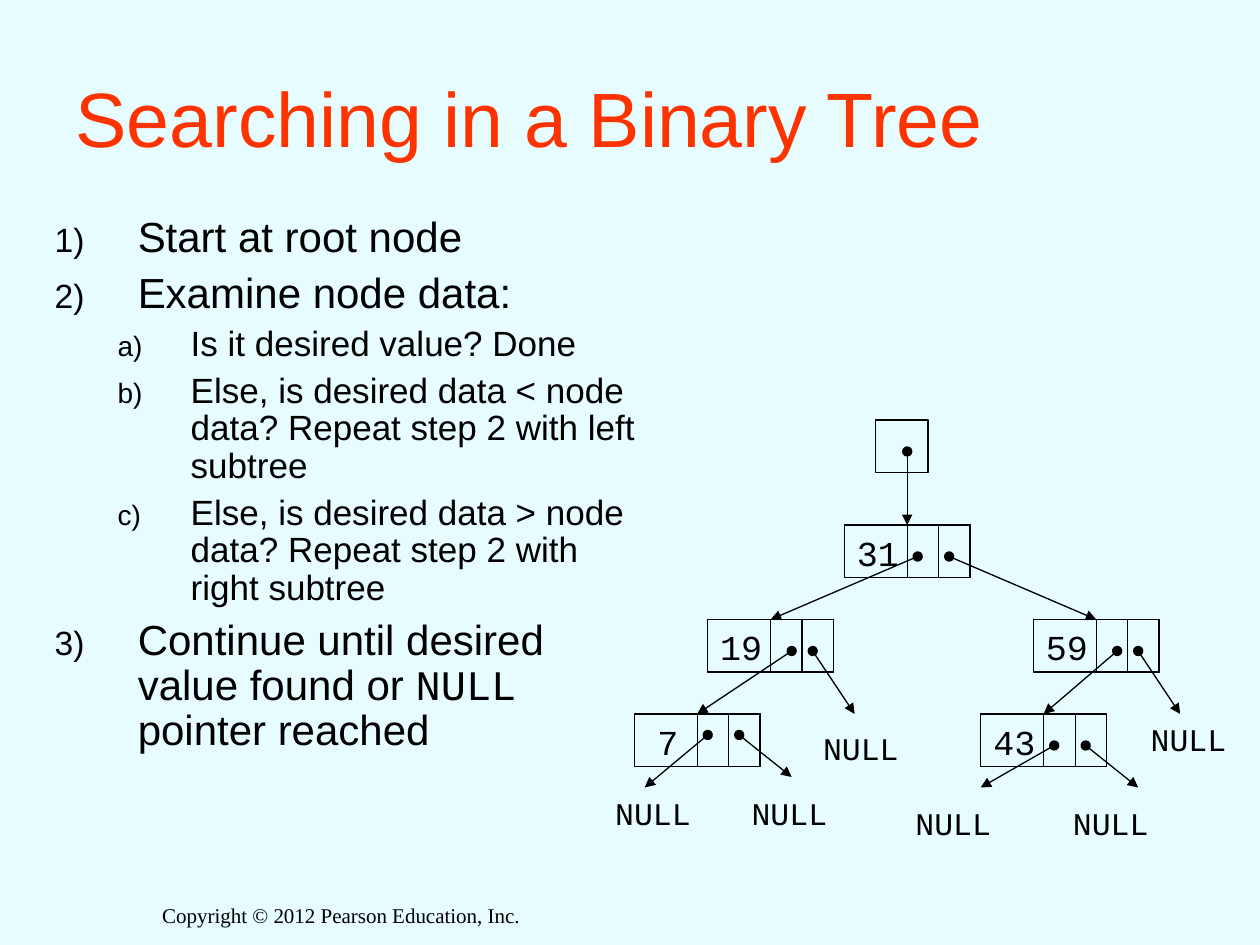
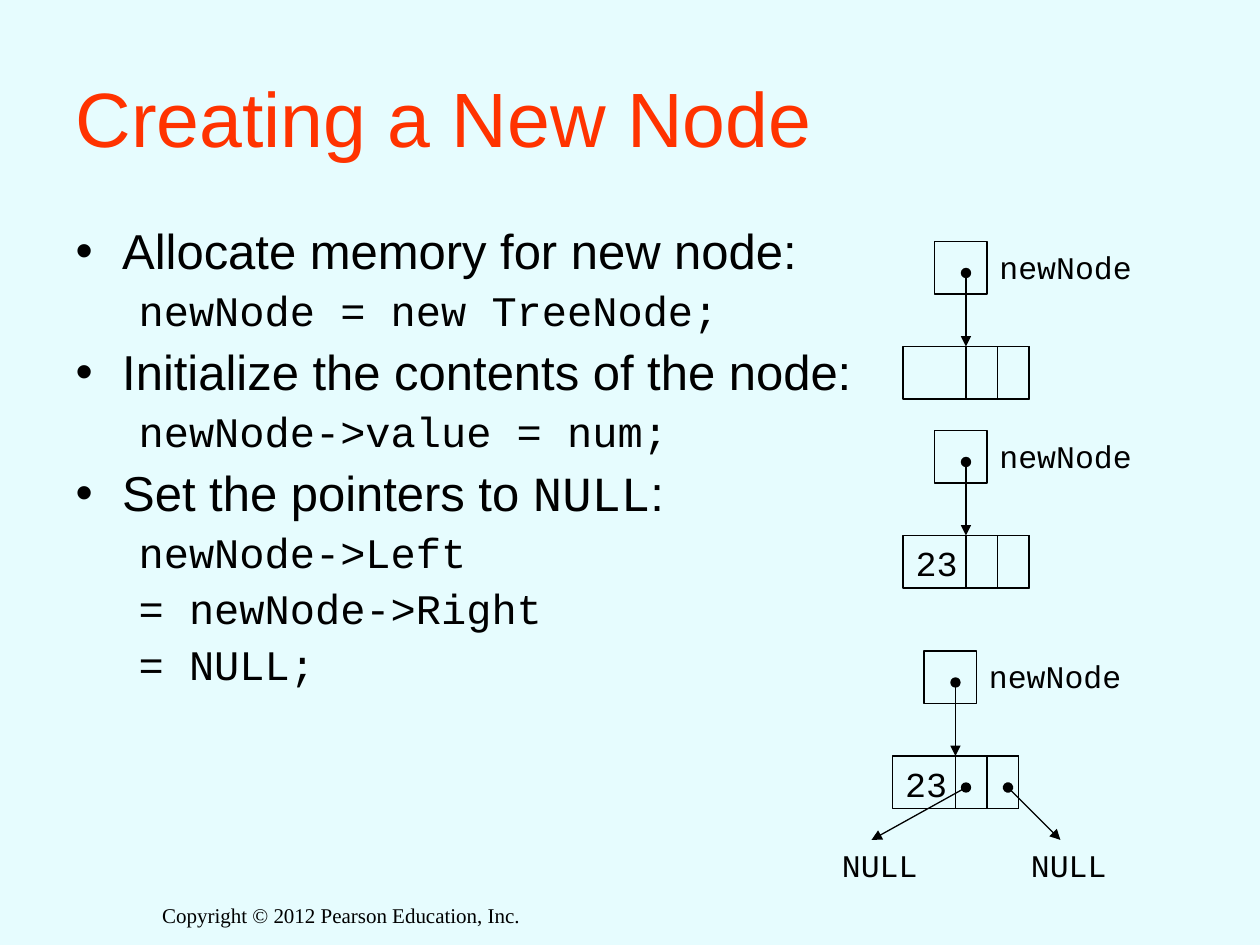
"""Builds two lecture slides on binary trees."""
from pptx import Presentation
from pptx.dml.color import RGBColor
from pptx.enum.shapes import MSO_CONNECTOR as Line, MSO_SHAPE as Shape
from pptx.enum.text import MSO_ANCHOR as Anchor, MSO_AUTO_SIZE as Fit, PP_ALIGN as Align
from pptx.oxml.ns import qn
from pptx.util import Inches, Pt
from lxml.etree import SubElement

COLUMNS, ROWS = 120, 90
WIDTH, HEIGHT = Inches(10), Inches(7.5)
BACKGROUND, TITLE_COLOUR, INK = "E6FCFE", "FF3300", "000000"
SANS, SERIF, MONO = "Arial", "Times New Roman", "Courier New"
FOOTER = "Copyright © 2012 Pearson Education, Inc."

STEP = dict(size=24, before=6, margin=0.66, hang=0.66, number="arabicParenR")
CHOICE = dict(size=20, before=5, level=1, margin=1.08, hang=0.58, number="alphaLcParenR")
POINT = dict(size=28, before=7, margin=0.37, hang=0.37, bullet="•")
CODE = dict(size=24, before=6, level=1, margin=0.81, hang=0.31, font=MONO)

SEARCH_STEPS = [
    ("Start at root node", STEP),
    ("Examine node data:", STEP),
    ("Is it desired value? Done", CHOICE),
    ("Else, is desired data < node data? Repeat step 2 with left subtree", CHOICE),
    ("Else, is desired data > node data? Repeat step 2 with right subtree", CHOICE),
    ([("Continue until desired value found or ", SANS), ("NULL", MONO),
      (" pointer reached", SANS)], STEP),
]
CREATION_STEPS = [
    ("Allocate memory for new node:", POINT),
    ("newNode = new TreeNode;", CODE),
    ("Initialize the contents of the node:", POINT),
    ("newNode->value = num;", CODE),
    ([("Set the pointers to ", SANS), ("NULL", MONO), (":", SANS)], POINT),
    ("newNode->Left", CODE),
    ("= newNode->Right", CODE),
    ("= NULL;", CODE),
]

TREE_NODES = {"31": (80.4, 50), "19": (67.4, 59), "59": (98.4, 59),
              "7": (60.4, 68), "43": (93.4, 68)}
TREE_LINKS = [((87.4, 53), "19"), ((90.4, 53), "59"), ((75.4, 62), "7"), ((106.4, 62), "43")]
TREE_NULLS = [
    ((77.4, 62), (81.4, 68), (77.2, 68.8)),
    ((108.4, 62), (112.4, 68), (108.4, 68)),
    ((67.4, 70), (61.4, 75), (57.4, 75)),
    ((70.4, 70), (75.4, 74), (70.4, 75)),
    ((100.4, 71), (93.4, 75), (86, 76)),
    ((103.4, 71), (108.4, 75), (101, 76)),
]
NEW_NODES = [("", 86, 33), ("23", 86, 51), ("23", 85, 72)]
NEW_NULLS = [((92, 75), (83, 80), (79, 80)), ((96, 75), (101, 80), (97, 80))]


def colour(code):
    """Turn a hex string into a colour."""
    return RGBColor.from_string(code)


def across(columns):
    """Give the length of a number of grid columns."""
    return round(WIDTH * columns / COLUMNS)


def down(rows):
    """Give the length of a number of grid rows."""
    return round(HEIGHT * rows / ROWS)


def area(left, top, width, height):
    """Give a grid area as four lengths."""
    return across(left), down(top), across(width), down(height)


def place(shape, *cells):
    """Move a shape to a grid area."""
    shape.left, shape.top, shape.width, shape.height = area(*cells)


def write(para, text, font=SANS, size=18, ink=INK, align=Align.LEFT):
    """Write a string, or (string, font) pairs, into a paragraph."""
    para.alignment = align
    for words, face in [(text, font)] if isinstance(text, str) else text:
        span = para.add_run()
        span.text = words
        span.font.name, span.font.size = face, Pt(size)
        span.font.color.rgb = colour(ink)


def mark(para, margin, hang, bullet=None, number=None):
    """Set a hanging indent with a bullet, a number or no mark."""
    properties = para._p.get_or_add_pPr()
    properties.set("marL", str(Inches(margin)))
    properties.set("indent", str(-Inches(hang)))
    if number:
        SubElement(properties, qn("a:buSzPct"), val="80000")
        SubElement(properties, qn("a:buAutoNum"), type=number)
    elif bullet:
        SubElement(properties, qn("a:buChar"), char=bullet)
    else:
        SubElement(properties, qn("a:buNone"))


def fill_list(body, items):
    """Fill the body placeholder with formatted list items."""
    frame = body.text_frame
    frame.auto_size = Fit.NONE
    for index, (text, style) in enumerate(items):
        para = frame.add_paragraph() if index else frame.paragraphs[0]
        para.level = style.get("level", 0)
        mark(para, style["margin"], style["hang"], style.get("bullet"), style.get("number"))
        para.line_spacing = 0.9
        para.space_before = Pt(style["before"] if index else 0)
        write(para, text, font=style.get("font", SANS), size=style["size"])


def add_label(page, text, left, top, width=10, height=4.8, wrap=False, **style):
    """Add a plain text box."""
    box = page.shapes.add_textbox(*area(left, top, width, height))
    box.text_frame.word_wrap = wrap
    write(box.text_frame.paragraphs[0], text, **style)


def add_box(page, left, top, width, height=5):
    """Add an outlined rectangle without fill."""
    box = page.shapes.add_shape(Shape.RECTANGLE, *area(left, top, width, height))
    box.shadow.inherit = False
    box.fill.background()
    box.line.color.rgb = colour(INK)
    box.line.width = Pt(0.75)
    return box


def add_node(page, value, left, top):
    """Add a tree node: a value and two pointer cells."""
    node = add_box(page, left, top, 12)
    for offset in (6, 9):
        add_box(page, left + offset, top, 3)
    if value:
        frame = node.text_frame
        frame.word_wrap = False
        frame.vertical_anchor = Anchor.TOP
        frame.margin_left, frame.margin_right = 0, across(5.6)
        write(frame.paragraphs[0], value, font=MONO, size=20, align=Align.CENTER)
    return node


def add_arrow(page, start, end=None, node=None):
    """Draw a pointer from a dot to a grid point or to the top of a node."""
    end = end or start
    arrow = page.shapes.add_connector(Line.STRAIGHT, across(start[0]), down(start[1]),
                                      across(end[0]), down(end[1]))
    if node is not None:
        arrow.end_connect(node, 0)
    arrow.line.color.rgb = colour(INK)
    arrow.line.width = Pt(0.75)
    outline = arrow.line._get_or_add_ln()
    SubElement(outline, qn("a:headEnd"), type="oval")
    SubElement(outline, qn("a:tailEnd"), type="triangle")
    SubElement(arrow._element.spPr, qn("a:effectLst"))


def add_pointed_node(page, value, left, top):
    """Add a node with the pointer variable above it."""
    node = add_node(page, value, left, top)
    add_box(page, left + 3, top - 10, 5)
    add_arrow(page, (left + 6, top - 7), node=node)
    return node


def add_nulls(page, nulls):
    """Add pointers that end at a NULL label."""
    for start, end, label in nulls:
        add_arrow(page, start, end)
        add_label(page, "NULL", *label, font=MONO)


def add_page(deck, title, items, body_area):
    """Add a slide with title, list and footer."""
    page = deck.slides.add_slide(deck.slide_layouts[1])
    heading, body = page.placeholders
    place(heading, 6, 3.6, 108, 15)
    heading.text_frame.auto_size = Fit.NONE
    heading.text_frame.vertical_anchor = Anchor.MIDDLE
    write(heading.text_frame.paragraphs[0], title, size=44, ink=TITLE_COLOUR)
    place(body, *body_area)
    fill_list(body, items)
    add_label(page, FOOTER, 13, 85.4, 39, 4, wrap=True, font=SERIF, size=12, align=Align.CENTER)
    return page


def draw_tree(page):
    """Draw the search tree."""
    nodes = {}
    for value, (left, top) in TREE_NODES.items():
        draw = add_node if nodes else add_pointed_node
        nodes[value] = draw(page, value, left, top)
    for start, child in TREE_LINKS:
        add_arrow(page, start, node=nodes[child])
    add_nulls(page, TREE_NULLS)


def draw_creation(page):
    """Draw the three stages of a new node."""
    for value, left, top in NEW_NODES:
        add_pointed_node(page, value, left, top)
        add_label(page, "newNode", left + 8, top - 10, 15, font=MONO)
    add_nulls(page, NEW_NULLS)


def main():
    """Build and save the deck."""
    deck = Presentation()
    deck.slide_width, deck.slide_height = WIDTH, HEIGHT
    backdrop = deck.slide_master.background.fill
    backdrop.solid()
    backdrop.fore_color.rgb = colour(BACKGROUND)
    draw_tree(add_page(deck, "Searching in a Binary Tree", SEARCH_STEPS, (4, 20, 59, 60)))
    draw_creation(add_page(deck, "Creating a New Node", CREATION_STEPS, (6, 21, 95, 54)))
    deck.save("out.pptx")


if __name__ == "__main__":
    main()
